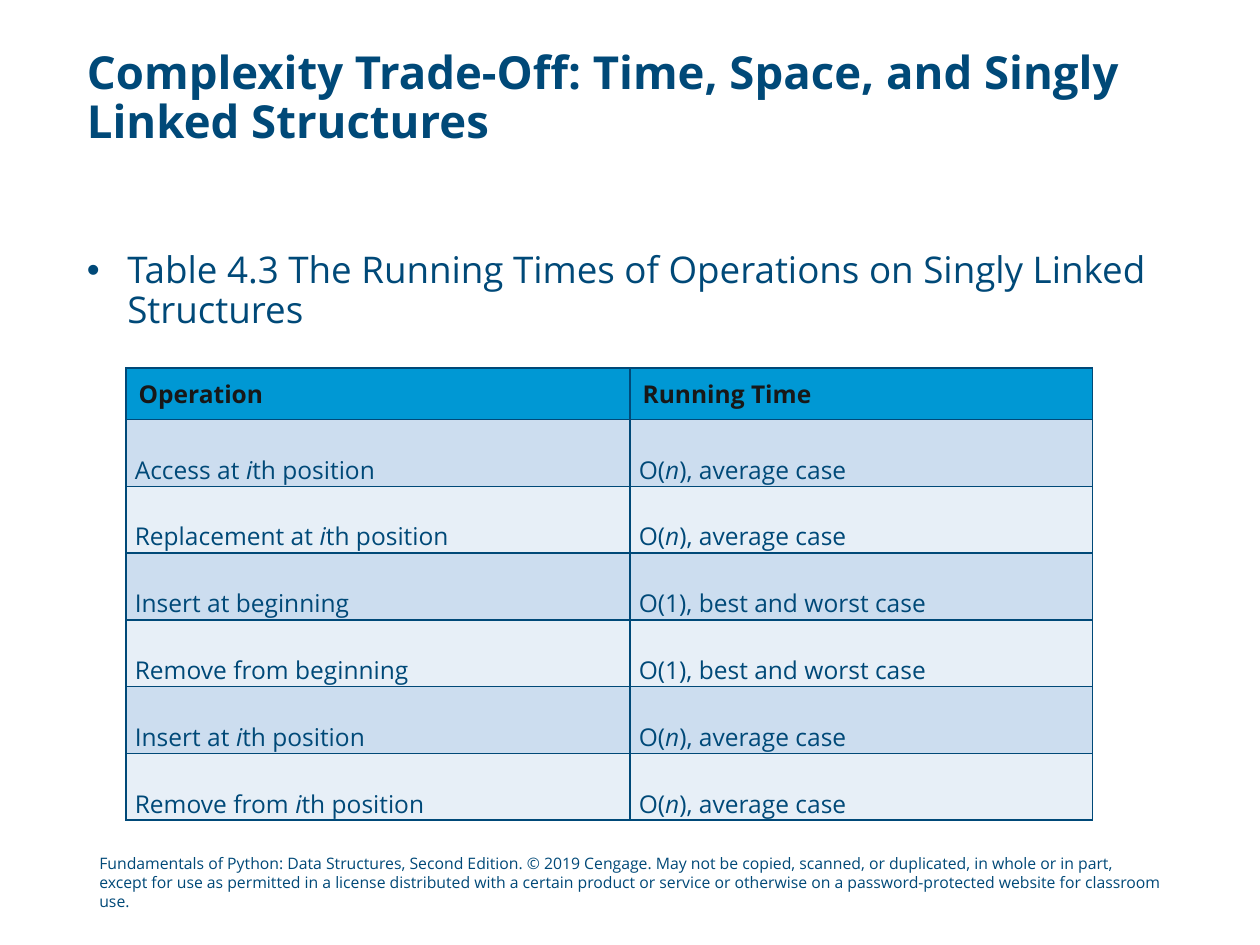
from lxml.etree import SubElement
from pptx import Presentation
from pptx.dml.color import RGBColor
from pptx.enum.text import MSO_ANCHOR
from pptx.oxml.ns import qn
from pptx.util import Inches, Pt

NAVY = RGBColor(0x00, 0x49, 0x78)
BLACK = RGBColor(0x18, 0x17, 0x17)
BLUE = RGBColor(0x00, 0x98, 0xD4)
BANDS = [RGBColor(0xCC, 0xDD, 0xEF), RGBColor(0xE7, 0xEF, 0xF7)]
FONT = "Open Sans"

TITLE = "Complexity Trade-Off: Time, Space, and Singly Linked Structures"
CAPTION = "Table 4.3 The Running Times of Operations on Singly Linked Structures"
NOTICE = (
    "Fundamentals of Python: Data Structures, Second Edition. © 2019 Cengage. "
    "May not be copied, scanned, or duplicated, in whole or in part, except for "
    "use as permitted in a license distributed with a certain product or service "
    "or otherwise on a password-protected website for classroom use."
)
HEADS = ("Operation", "Running Time")
LINEAR = "O(*n*), average case"
CONST = "O(1), best and worst case"
TIMES = [
    ("Access at *i*th position", LINEAR),
    ("Replacement at *i*th position", LINEAR),
    ("Insert at beginning", CONST),
    ("Remove from beginning", CONST),
    ("Insert at *i*th position", LINEAR),
    ("Remove from *i*th position", LINEAR),
]
COLS = (4, 3.67)
ROWS = [0.41] + [0.53] * len(TIMES)
LEFT, WIDTH = 0.69, 8.62


def style(font, size, color=NAVY, bold=False):
    font.name, font.size, font.bold = FONT, Pt(size), bold
    font.color.rgb = color


def write(para, text, size, color=NAVY, bold=False):
    for i, part in enumerate(text.split("*")):
        run = para.add_run()
        run.text = part
        style(run.font, size, color, bold)
        if i % 2:
            run.font.italic = True


def add_text(slide, top, height, text, size, bold=False, inset=None):
    box = slide.shapes.add_textbox(
        Inches(LEFT), Inches(top), Inches(WIDTH), Inches(height))
    frame = box.text_frame
    frame.word_wrap = True
    if inset is not None:
        frame.margin_left = frame.margin_right = Inches(inset)
        frame.margin_top = frame.margin_bottom = Inches(inset)
    para = frame.paragraphs[0]
    write(para, text, size, bold=bold)
    return para


def add_bullet(para, indent):
    props = para._p.get_or_add_pPr()
    props.set("marL", str(Inches(indent)))
    props.set("indent", str(-Inches(indent)))
    SubElement(props, qn("a:buFont")).set("typeface", "Arial")
    SubElement(props, qn("a:buChar")).set("char", "•")


def add_border(cell):
    props = cell._tc.get_or_add_tcPr()
    for side in ("lnL", "lnR", "lnT", "lnB"):
        line = SubElement(props, qn(f"a:{side}"), w=str(Pt(1)))
        fill = SubElement(line, qn("a:solidFill"))
        SubElement(fill, qn("a:srgbClr")).set("val", str(NAVY))


def fill_cell(cell, text, row):
    add_border(cell)
    cell.fill.solid()
    cell.vertical_anchor = MSO_ANCHOR.MIDDLE
    para = cell.text_frame.paragraphs[0]
    if row == 0:
        cell.fill.fore_color.rgb = BLUE
        write(para, text, 14, BLACK, True)
        return
    cell.fill.fore_color.rgb = BANDS[(row - 1) % 2]
    cell.margin_left = cell.margin_right = Inches(0.07)
    cell.margin_top, cell.margin_bottom = 0, Inches(0.06)
    para.line_spacing = 2.0
    write(para, text, 14)


def add_times(slide):
    data = [HEADS] + TIMES
    table = slide.shapes.add_table(
        len(data), len(COLS), Inches(1), Inches(2.92),
        Inches(sum(COLS)), Inches(sum(ROWS))).table
    for col, width in zip(table.columns, COLS):
        col.width = Inches(width)
    for r, texts in enumerate(data):
        table.rows[r].height = Inches(ROWS[r])
        for c, text in enumerate(texts):
            fill_cell(table.cell(r, c), text, r)


def main():
    deck = Presentation()
    deck.slide_width, deck.slide_height = Inches(10), Inches(7.5)
    slide = deck.slides.add_slide(deck.slide_layouts[6])
    title = add_text(slide, 0.4, 0.85, TITLE, 26, bold=True, inset=0)
    title.line_spacing = 0.9
    caption = add_text(slide, 2, 0.67, CAPTION, 21, inset=0)
    add_bullet(caption, 0.32)
    caption.line_spacing = 0.9
    add_times(slide)
    add_text(slide, 6.73, 0.4, NOTICE, 9)
    deck.save("out.pptx")


if __name__ == "__main__":
    main()
